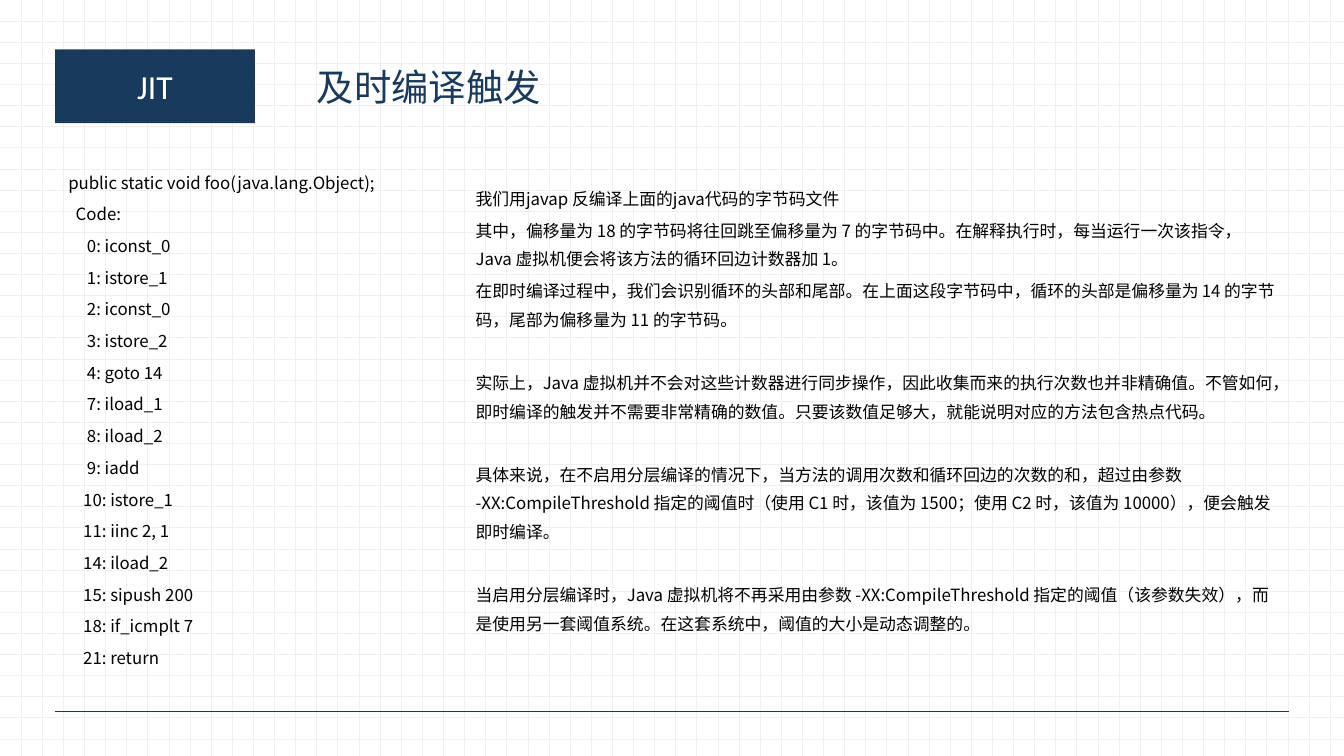
from lxml.etree import SubElement
from pptx import Presentation
from pptx.dml.color import RGBColor
from pptx.enum.dml import MSO_PATTERN
from pptx.enum.shapes import MSO_CONNECTOR, MSO_SHAPE
from pptx.enum.text import MSO_ANCHOR as Anchor, MSO_AUTO_SIZE as AutoSize, PP_ALIGN as Align
from pptx.oxml.ns import qn
from pptx.util import Pt

COLORS = {"navy": "183A5D", "white": "FFFFFF", "black": "000000", "grid": "F0F0F0"}
CJK_FONT = "Noto Sans CJK SC"
LEFT, RIGHT = 29.5, 690.5
LINE_HEIGHT, PARAGRAPH_GAP, BLOCK_GAP = 15.4, 1.6, 18.4

CODE = [
    ("public static void foo(java.lang.Object);", 0),
    ("Code:", 4),
    ("0: iconst_0", 10),
    ("1: istore_1", 10),
    ("2: iconst_0", 10),
    ("3: istore_2", 10),
    ("4: goto 14", 10),
    ("7: iload_1", 10),
    ("8: iload_2", 10),
    ("9: iadd", 10),
    ("10: istore_1", 8),
    ("11: iinc 2, 1", 8),
    ("14: iload_2", 8),
    ("15: sipush 200", 8),
    ("18: if_icmplt 7", 8),
    ("21: return", 8),
]
EXPLANATION = [
    ("我们用javap 反编译上面的java代码的字节码文件", PARAGRAPH_GAP),
    ("其中，偏移量为 18 的字节码将往回跳至偏移量为 7 的字节码中。在解释执行时，每当运行一次该指令，"
     "Java 虚拟机便会将该方法的循环回边计数器加 1。", PARAGRAPH_GAP),
    ("在即时编译过程中，我们会识别循环的头部和尾部。在上面这段字节码中，循环的头部是偏移量为 14 的字节码，"
     "尾部为偏移量为 11 的字节码。", PARAGRAPH_GAP),
    ("实际上，Java 虚拟机并不会对这些计数器进行同步操作，因此收集而来的执行次数也并非精确值。不管如何，"
     "即时编译的触发并不需要非常精确的数值。只要该数值足够大，就能说明对应的方法包含热点代码。", BLOCK_GAP),
    ("具体来说，在不启用分层编译的情况下，当方法的调用次数和循环回边的次数的和，超过由参数 "
     "-XX:CompileThreshold 指定的阈值时（使用 C1 时，该值为 1500；使用 C2 时，该值为 10000），"
     "便会触发即时编译。", BLOCK_GAP),
    ("当启用分层编译时，Java 虚拟机将不再采用由参数 -XX:CompileThreshold 指定的阈值（该参数失效），"
     "而是使用另一套阈值系统。在这套系统中，阈值的大小是动态调整的。", BLOCK_GAP),
]


def rgb(name):
    return RGBColor.from_string(COLORS[name])


def write(paragraph, text, size=9, font=CJK_FONT, color="black", align=Align.LEFT,
          line_height=None, before=0, indent=0):
    paragraph.alignment = align
    paragraph.space_before = Pt(before)
    if line_height:
        paragraph.line_spacing = Pt(line_height)
    if indent:
        paragraph._p.get_or_add_pPr().set("marL", str(Pt(indent)))
    run = paragraph.add_run()
    run.text = text
    run.font.size = Pt(size)
    run.font.name = font
    run.font.color.rgb = rgb(color)
    SubElement(run._r.get_or_add_rPr(), qn("a:ea"), typeface=font)


class SlideBuilder:
    def __init__(self, presentation):
        self.slide = presentation.slides.add_slide(presentation.slide_layouts[5])
        self.shapes = self.slide.shapes

    def background(self):
        fill = self.slide.background.fill
        fill.patterned()
        fill.pattern = MSO_PATTERN.DOTTED_GRID
        fill.fore_color.rgb = rgb("grid")
        fill.back_color.rgb = rgb("white")

    def title(self, text, left, top, width, height):
        shape = self.shapes.title
        shape.left, shape.top, shape.width, shape.height = map(Pt, (left, top, width, height))
        frame = shape.text_frame
        frame.auto_size = AutoSize.NONE
        frame.vertical_anchor = Anchor.MIDDLE
        write(frame.paragraphs[0], text, size=20, color="navy")

    def label(self, text, left, top, width, height):
        shape = self.shapes.add_shape(MSO_SHAPE.RECTANGLE, *map(Pt, (left, top, width, height)))
        shape.shadow.inherit = False
        shape.fill.solid()
        shape.fill.fore_color.rgb = rgb("navy")
        shape.line.fill.background()
        shape.text_frame.vertical_anchor = Anchor.MIDDLE
        write(shape.text_frame.paragraphs[0], text, size=18, font="Calibri",
              color="white", align=Align.CENTER)

    def text(self, items, left, top, width, height):
        frame = self.shapes.add_textbox(*map(Pt, (left, top, width, height))).text_frame
        frame.word_wrap = True
        for index, (content, before, indent) in enumerate(items):
            paragraph = frame.add_paragraph() if index else frame.paragraphs[0]
            write(paragraph, content, line_height=LINE_HEIGHT, before=before, indent=indent)

    def rule(self, left, right, y):
        line = self.shapes.add_connector(MSO_CONNECTOR.STRAIGHT, *map(Pt, (right, y, left, y)))
        line.line.color.rgb = rgb("navy")
        line.line.width = Pt(0.25)
        SubElement(line._element.spPr, qn("a:effectLst"))


def main():
    presentation = Presentation()
    presentation.slide_width, presentation.slide_height = Pt(720), Pt(405)
    builder = SlideBuilder(presentation)
    builder.background()
    builder.label("JIT", LEFT, 26.5, 107, 39.5)
    builder.title("及时编译触发", 162.5, 30.5, 358, 31.5)
    builder.text([(text, PARAGRAPH_GAP, indent) for text, indent in CODE],
                 LEFT, 84.2, 199.5, 278.5)
    builder.rule(LEFT, RIGHT, 381)
    builder.text([(text, before, 0) for text, before in EXPLANATION],
                 247.7, 92.9, 442.8, 278.5)
    presentation.save("out.pptx")


if __name__ == "__main__":
    main()
